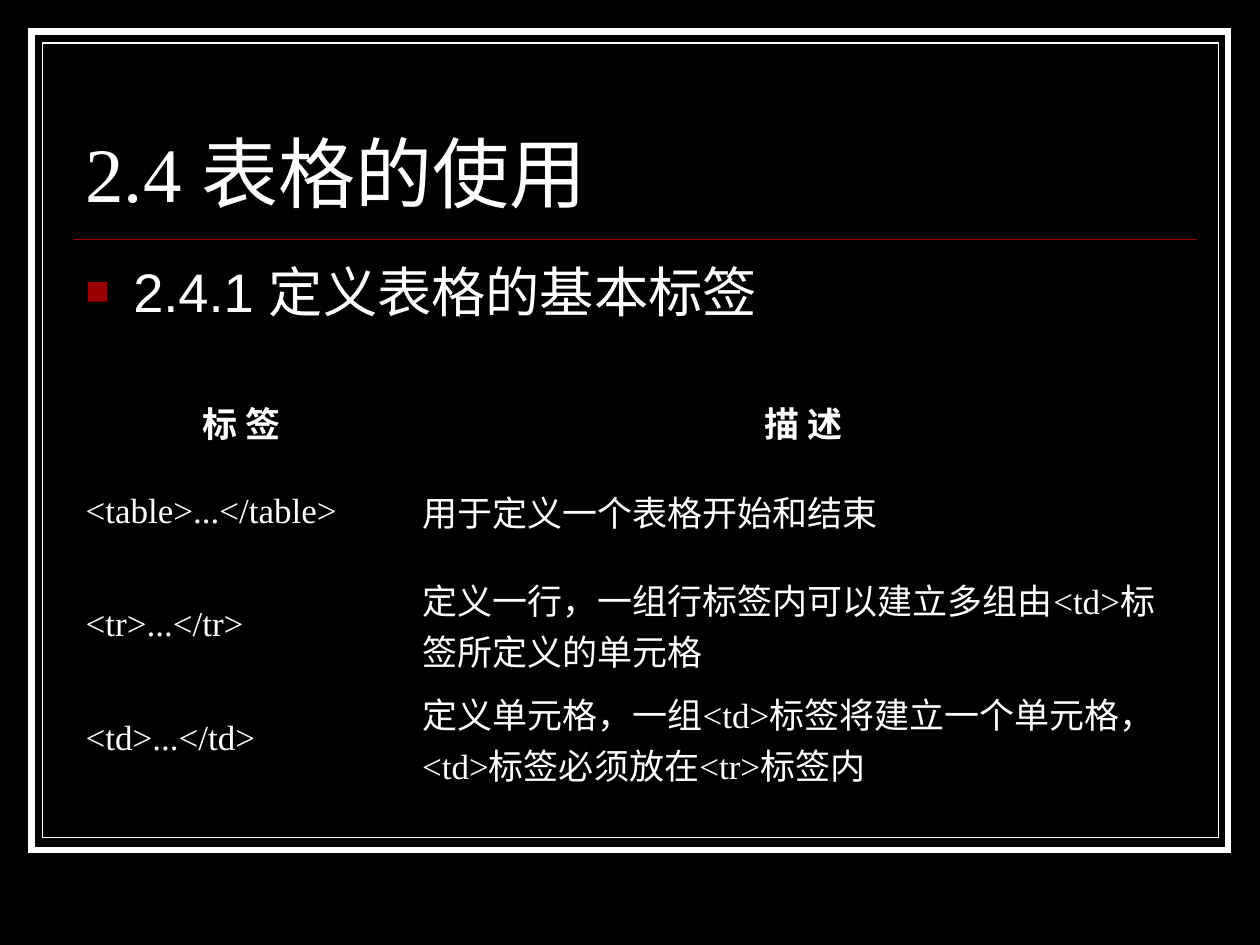
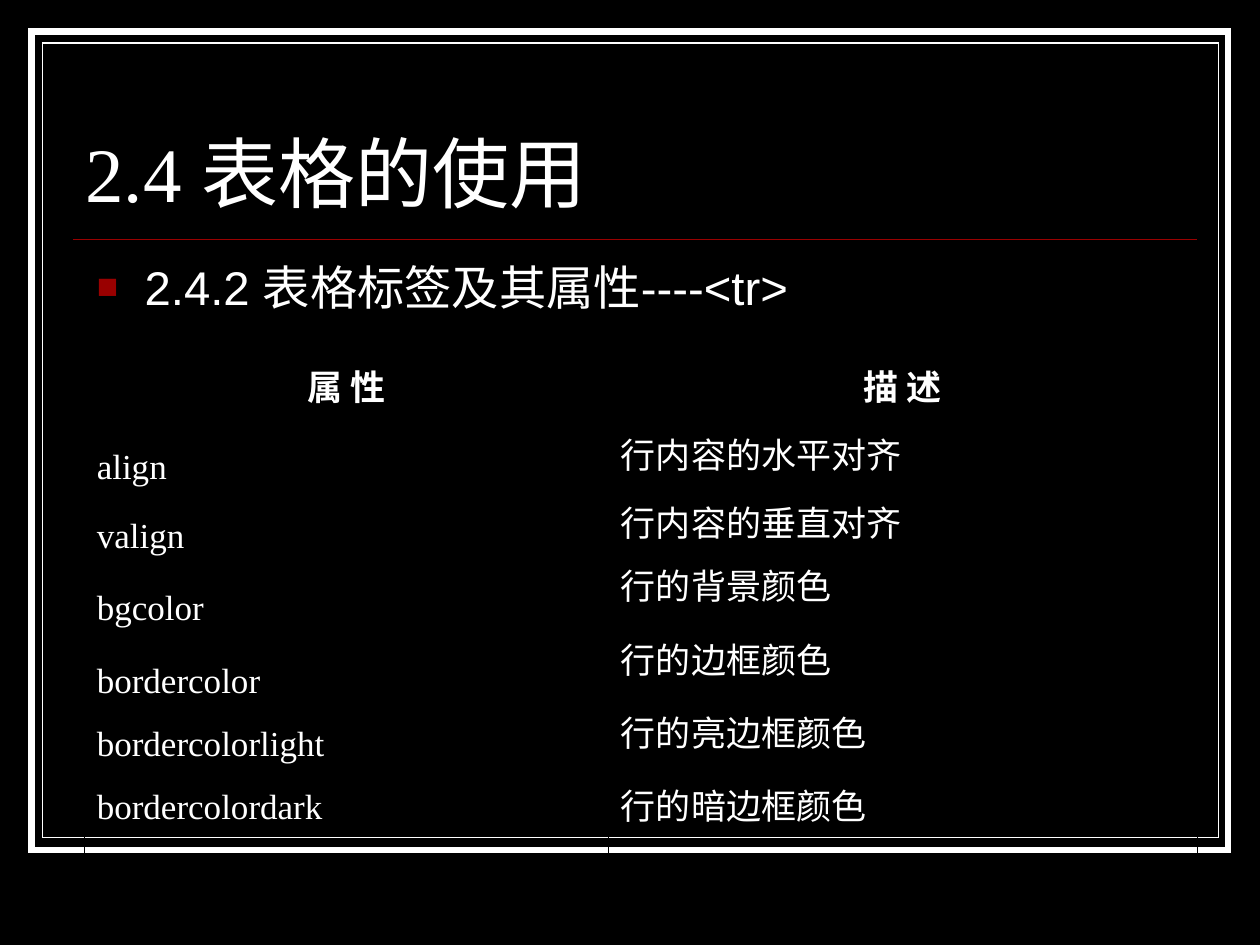
import pptx
import pptx.dml.color
import pptx.enum.shapes
import pptx.enum.text
import pptx.oxml
import pptx.oxml.ns
import pptx.util
from lxml import etree

Inches = pptx.util.Inches
Pt = pptx.util.Pt
qn = pptx.oxml.ns.qn
ALIGN = pptx.enum.text.PP_ALIGN
ANCHOR = pptx.enum.text.MSO_ANCHOR
BLACK = pptx.dml.color.RGBColor(0x00, 0x00, 0x00)
WHITE = pptx.dml.color.RGBColor(0xFF, 0xFF, 0xFF)
RED = pptx.dml.color.RGBColor(0x99, 0x00, 0x00)
SERIF, SANS = "Times New Roman", "Arial"
TITLE = "2.4 表格的使用"

TAGS = [
    ("标 签", "描 述"),
    ("<table>...</table>", "用于定义一个表格开始和结束"),
    ("<tr>...</tr>", "定义一行，一组行标签内可以建立多组由<td>标签所定义的单元格"),
    ("<td>...</td>", "定义单元格，一组<td>标签将建立一个单元格，<td>标签必须放在<tr>标签内"),
]

# Each entry: text, offset from the top of the grid, height
NAMES = [("属 性", 0, 0.63), ("align", 0.63, 0.63), ("valign", 1.25, 0.48),
         ("bgcolor", 1.75, 0.63), ("bordercolor", 2.33, 0.63),
         ("bordercolorlight", 2.83, 0.63), ("bordercolordark", 3.33, 0.63)]
NOTES = [("描 述", 0, 0.63), ("行内容的水平对齐", 0.63, 0.45),
         ("行内容的垂直对齐", 1.08, 0.63), ("行的背景颜色", 1.58, 0.63),
         ("行的边框颜色", 2.17, 0.63), ("行的亮边框颜色", 2.75, 0.63),
         ("行的暗边框颜色", 3.33, 0.63)]
RULES = [0, 0.63, 1.26, 1.89, 2.52, 2.92, 3.79, 4.42]


def add_xml(parent, tag, **attrs):
    """Append a drawing element to its parent."""
    node = etree.SubElement(parent, qn(tag))
    for key, value in attrs.items():
        node.set(key, str(value))
    return node


def write(frame, text, size=20, font=SERIF, bold=False, align=ALIGN.LEFT,
          anchor=ANCHOR.MIDDLE, spacing=None, bullet=False):
    """Fill a text frame with one formatted paragraph."""
    frame.word_wrap = True
    frame.vertical_anchor = anchor
    para = frame.paragraphs[0]
    para.alignment = align
    if spacing:
        para.line_spacing = spacing
    if bullet:
        props = para._p.get_or_add_pPr()
        props.set("marL", str(Inches(0.38)))
        props.set("indent", str(-Inches(0.38)))
        add_xml(add_xml(props, "a:buClr"), "a:srgbClr", val=RED)
        add_xml(props, "a:buSzPct", val=75000)
        add_xml(props, "a:buFont", typeface=SANS)
        add_xml(props, "a:buChar", char="■")
    run = para.add_run()
    run.text = text
    run.font.size = Pt(size)
    run.font.name = font
    run.font.bold = bold
    run.font.color.rgb = WHITE


def label(slide, box, text, **style):
    shape = slide.shapes.add_textbox(*map(Inches, box))
    write(shape.text_frame, text, **style)


def rule(slide, x1, y1, x2, y2, color=BLACK, width=0):
    """Draw a straight line free of theme styling; width 0 is a hairline."""
    line = slide.shapes.add_connector(
        pptx.enum.shapes.MSO_CONNECTOR.STRAIGHT, *map(Inches, (x1, y1, x2, y2)))
    node = line._element
    node.remove(node.find(qn("p:style")))
    line.line.color.rgb = color
    # The width property drops a zero, so the attribute is set directly
    node.spPr.find(qn("a:ln")).set("w", str(Pt(width)))
    add_xml(node.spPr, "a:effectLst")


def border(slide, box, width):
    """Black panel with a white, square-cornered outline."""
    panel = slide.shapes.add_shape(
        pptx.enum.shapes.MSO_SHAPE.RECTANGLE, *map(Inches, box))
    panel.shadow.inherit = False
    panel.fill.solid()
    panel.fill.fore_color.rgb = BLACK
    panel.line.color.rgb = WHITE
    panel.line.width = Pt(width)
    add_xml(panel._element.spPr.find(qn("a:ln")), "a:miter", lim=800000)


def base(deck, topic, left, size, align=ALIGN.LEFT):
    """Start a slide with its double frame, title and topic line."""
    slide = deck.slides.add_slide(deck.slide_layouts[6])
    slide.background.fill.solid()
    slide.background.fill.fore_color.rgb = BLACK
    border(slide, (0.25, 0.25, 9.5, 6.5), 3.5)
    border(slide, (0.34, 0.34, 9.33, 6.31), 0.75)
    rule(slide, 0.58, 1.9, 9.5, 1.9, RED, 1)
    label(slide, (0.58, 0.52, 8.92, 1.25), TITLE, size=44,
          anchor=ANCHOR.BOTTOM, spacing=0.8)
    label(slide, (left, 2, 8.42, 0.75), topic, size=size, font=SANS,
          align=align, anchor=ANCHOR.TOP, bullet=True)
    return slide


def edge(cell):
    """Give a cell thin black borders, placed ahead of its fill."""
    props = cell._tc.get_or_add_tcPr()
    for spot, side in enumerate(("a:lnL", "a:lnR", "a:lnT", "a:lnB")):
        line = add_xml(props, side, w=Pt(0.45))
        add_xml(add_xml(line, "a:solidFill"), "a:srgbClr", val=BLACK)
        props.insert(spot, line)


def tag_table(slide, box):
    """Table of the basic tags."""
    table = slide.shapes.add_table(len(TAGS), 2, *map(Inches, box)).table
    table.first_row = table.horz_banding = False
    for col, width in zip(table.columns, (2.67, 6.25)):
        col.width = Inches(width)
    for row, height in zip(table.rows, (0.54, 0.88, 0.91, 0.9)):
        row.height = Inches(height)
    for r, texts in enumerate(TAGS):
        for c, text in enumerate(texts):
            cell = table.cell(r, c)
            cell.fill.background()
            edge(cell)
            cell.vertical_anchor = ANCHOR.MIDDLE
            write(cell.text_frame, text, bold=r == 0, anchor=None,
                  align=ALIGN.LEFT if r else ALIGN.CENTER)


def row_grid(slide, box):
    """Hairline grid with two columns of labels on top of it."""
    left, top, width, height = box
    split = 4.16
    right, low = left + width, top + height
    for drop in RULES:
        rule(slide, left, top + drop, right, top + drop)
    for x in (left, left + split, right):
        rule(slide, x, top, x, low)
    for items, x, wide in ((NAMES, left, split),
                           (NOTES, left + split, width - split)):
        for text, drop, tall in items:
            head = drop == 0
            label(slide, (x, top + drop, wide, tall), text, bold=head,
                  align=ALIGN.CENTER if head else ALIGN.LEFT)


def main():
    deck = pptx.Presentation()
    deck.slide_width, deck.slide_height = Inches(10), Inches(7.5)
    # Basic tags
    slide = base(deck, "2.4.1 定义表格的基本标签", 0.58, 31)
    tag_table(slide, (0.58, 3.08, 8.92, 3.23))
    # Row attributes
    slide = base(deck, "2.4.2 表格标签及其属性----<tr>", 0.67, 27, ALIGN.JUSTIFY)
    row_grid(slide, (0.67, 2.75, 8.83, 4.42))
    deck.save("out.pptx")


if __name__ == "__main__":
    main()
